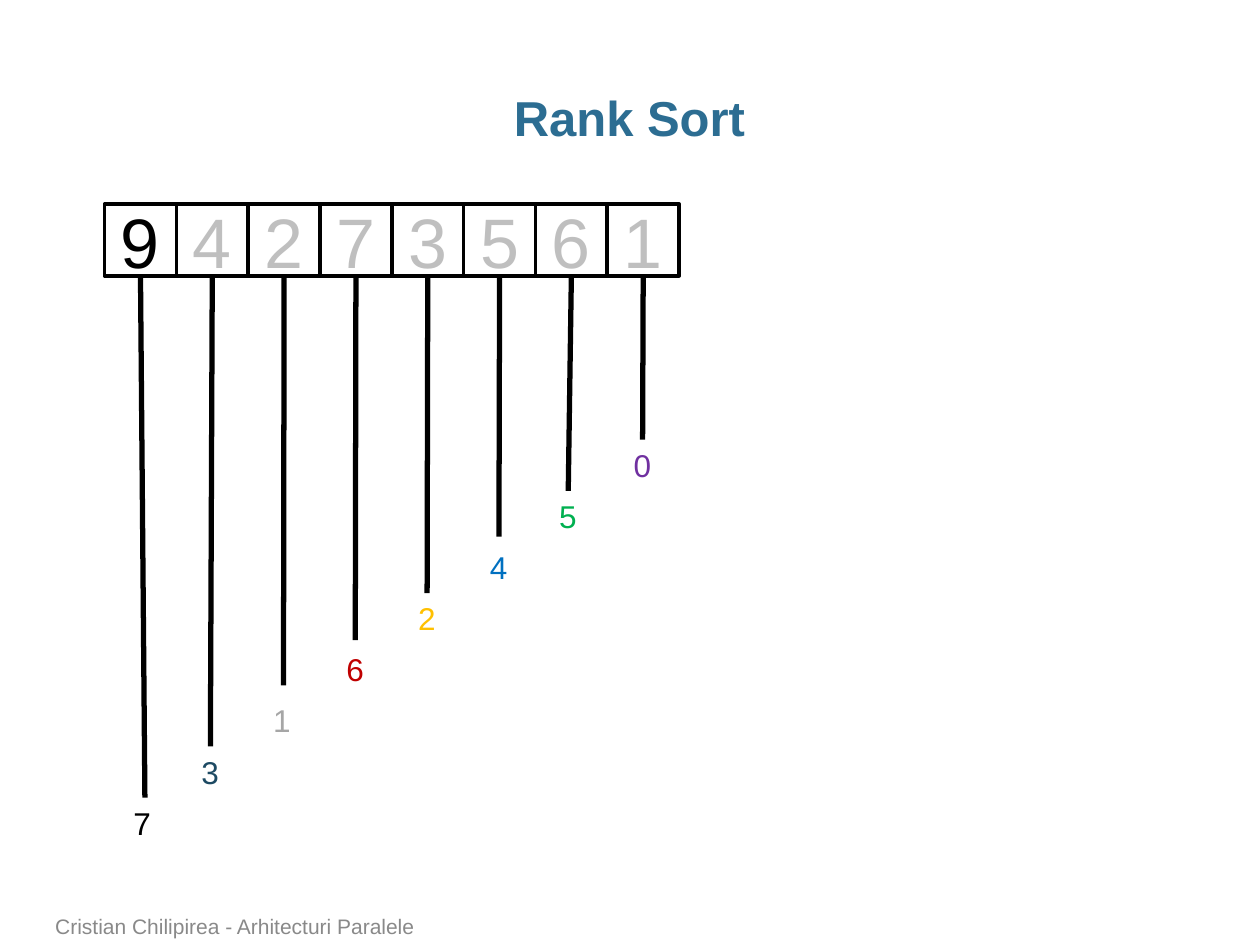
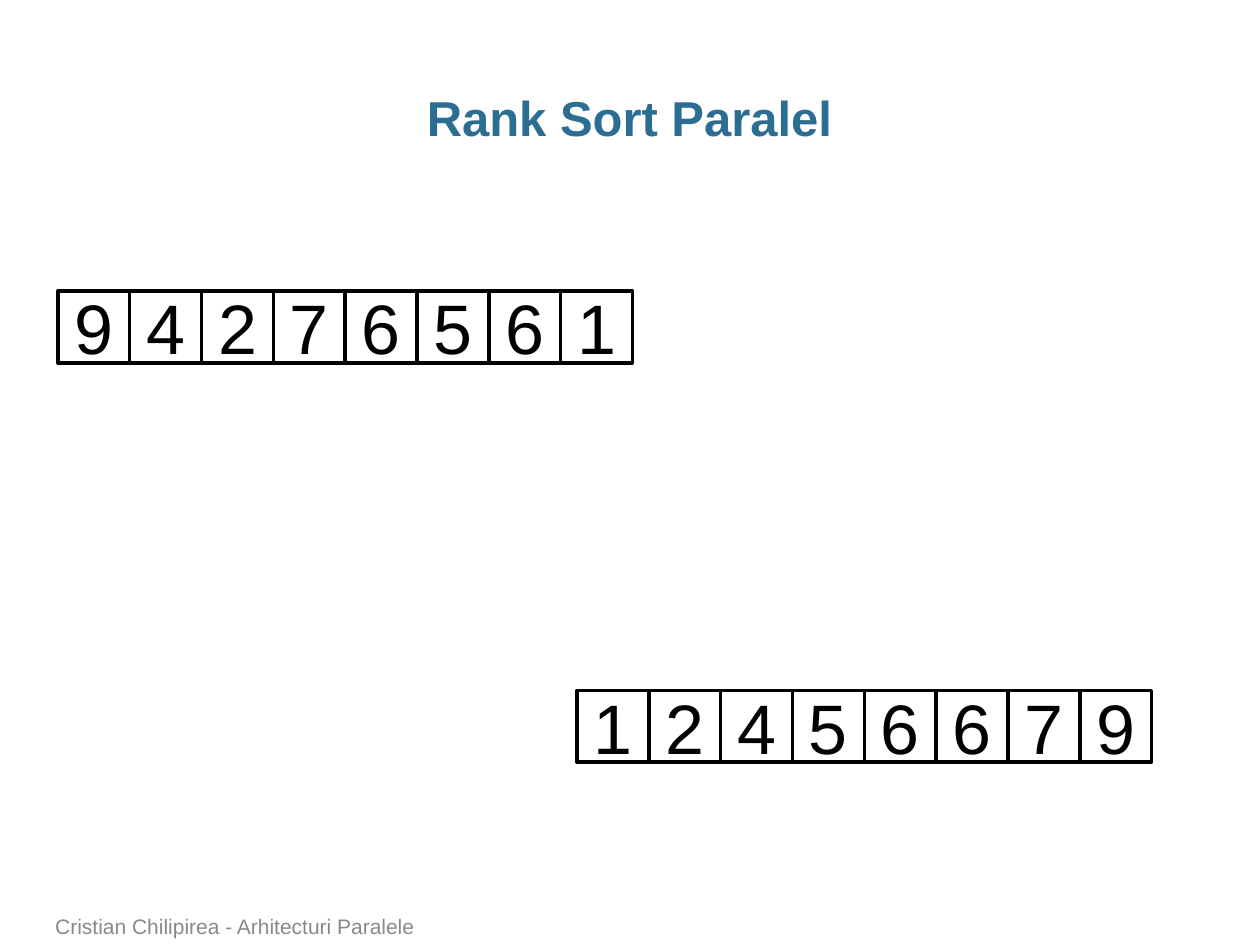
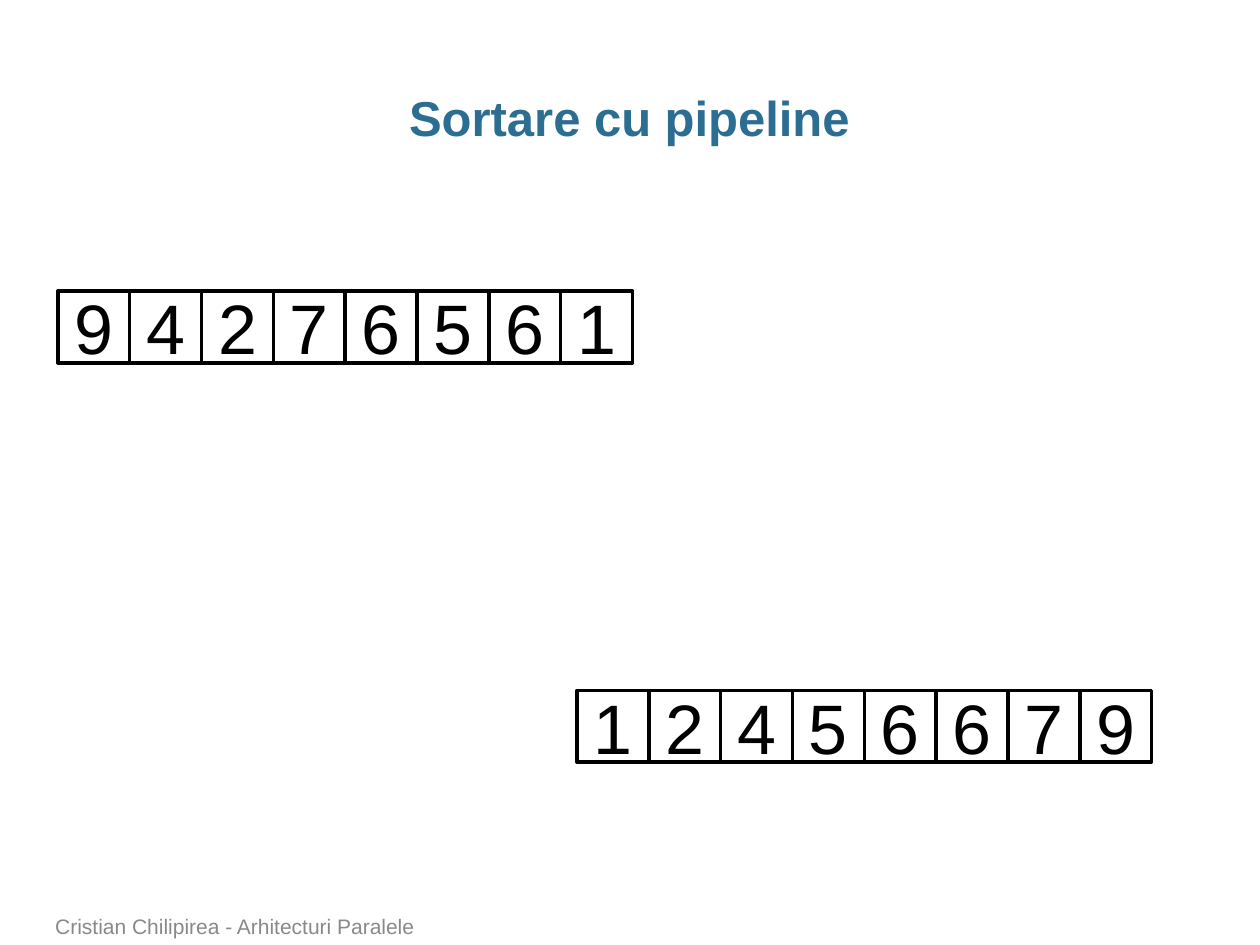
"""Build three slides on rank sort, its parallel form and pipeline sorting."""
from lxml import etree
from pptx import Presentation
from pptx import util as u
from pptx.dml.color import RGBColor
from pptx.enum import shapes, text
from pptx.oxml import ns

COLORS = {"title": "2C6D92", "ink": "000000", "faded": "BFBFBF", "footer": "898989",
          "navy": "1D4A63", "gray": "A6A6A6", "red": "C00000", "amber": "FFC000",
          "blue": "0070C0", "green": "00B050", "purple": "7030A0"}
FONT = "Arial"
FOOTER = "Cristian Chilipirea - Arhitecturi Paralele"
CELL = 0.57
LABEL_SIZE = (0.34, 0.4)
FIRST_RANK_TOP, LAST_RANK_TOP = 6.33, 3.49

UNSORTED = {"values": "94276561", "at": (0.46, 2.31)}
SORTED = {"values": "12456679", "at": (4.58, 5.48)}
RANKED = {"values": "94273561", "at": (0.83, 1.62), "highlight": 1}

# rank, color, label left, free end of its line (None joins the label)
RANKS = [
    ("7", "ink", 0.96, (1.15, 6.33)),
    ("3", "navy", 1.5, None),
    ("1", "gray", 2.07, (2.25, 5.44)),
    ("6", "red", 2.65, (2.82, 5.08)),
    ("2", "amber", 3.22, None),
    ("4", "blue", 3.79, (3.96, 4.26)),
    ("5", "green", 4.34, None),
    ("0", "purple", 4.93, None),
]
SLIDES = [
    {"title": "Rank Sort", "arrays": [RANKED], "ranks": RANKS},
    {"title": "Rank Sort Paralel", "arrays": [UNSORTED, SORTED], "ranks": []},
    {"title": "Sortare cu pipeline", "arrays": [UNSORTED, SORTED], "ranks": []},
]

TITLE_FRAME = {"word_wrap": True, "margin_left": 0, "margin_right": 0}
FOOTER_FRAME = {"word_wrap": True, "vertical_anchor": text.MSO_ANCHOR.BOTTOM}
CELL_FRAME = {"word_wrap": True, "vertical_anchor": text.MSO_ANCHOR.MIDDLE}
RANK_FRAME = {"word_wrap": False, "auto_size": text.MSO_AUTO_SIZE.SHAPE_TO_FIT_TEXT}
CENTERED = {"alignment": text.PP_ALIGN.CENTER}


def inches(*lengths):
    return [u.Inches(length) for length in lengths]


def apply(target, values):
    for name, value in values.items():
        setattr(target, name, value)


def write(shape, words, size, color, frame, paragraph=None, bold=False):
    apply(shape.text_frame, frame)
    line = shape.text_frame.paragraphs[0]
    apply(line, paragraph or {})
    run = line.add_run()
    run.text = words
    apply(run.font, {"name": FONT, "size": u.Pt(size), "bold": bold})
    run.font.color.rgb = RGBColor.from_string(COLORS[color])


def outline(shape, width):
    shape.line.color.rgb = RGBColor.from_string(COLORS["ink"])
    shape.line.width = u.Pt(width)


def add_array(slide, values, at, highlight=None):
    left, top = at
    shown = len(values) if highlight is None else highlight
    cells = []
    for i, value in enumerate(values):
        cell = slide.shapes.add_shape(shapes.MSO_SHAPE.RECTANGLE,
                                      *inches(left + i * CELL, top, CELL, CELL))
        cell.shadow.inherit = False
        cell.fill.background()
        outline(cell, 2)
        write(cell, value, 40, "ink" if i < shown else "faded", CELL_FRAME, CENTERED)
        cells.append(cell)
    return cells


def add_ranks(slide, cells, ranks):
    step = (FIRST_RANK_TOP - LAST_RANK_TOP) / (len(cells) - 1)
    labels = []
    for i, (rank, color, left, _) in enumerate(ranks):
        label = slide.shapes.add_textbox(
            *inches(left, FIRST_RANK_TOP - i * step, *LABEL_SIZE))
        write(label, rank, 18, color, RANK_FRAME)
        labels.append(label)
    for cell, label, (_, _, _, end) in zip(cells, labels, ranks):
        drop = slide.shapes.add_connector(shapes.MSO_CONNECTOR.STRAIGHT,
                                          0, 0, *inches(*(end or (0, 0))))
        drop.begin_connect(cell, 2)
        if end is None:
            drop.end_connect(label, 0)
        outline(drop, 3)
        etree.SubElement(drop._element.spPr, ns.qn("a:effectLst"))


def main():
    deck = Presentation()
    deck.slide_width, deck.slide_height = inches(10, 7.5)
    for content in SLIDES:
        slide = deck.slides.add_slide(deck.slide_layouts[6])
        title = slide.shapes.add_textbox(*inches(0.34, 0.68, 9.31, 0.5))
        write(title, content["title"], 28, "title", TITLE_FRAME,
              {**CENTERED, "line_spacing": 0.95}, bold=True)
        arrays = [add_array(slide, **array) for array in content["arrays"]]
        add_ranks(slide, arrays[0], content["ranks"])
        footer = slide.shapes.add_textbox(*inches(0.34, 7.22, 7.37, 0.28))
        write(footer, FOOTER, 12, "footer", FOOTER_FRAME)
    deck.save("out.pptx")


if __name__ == "__main__":
    main()
